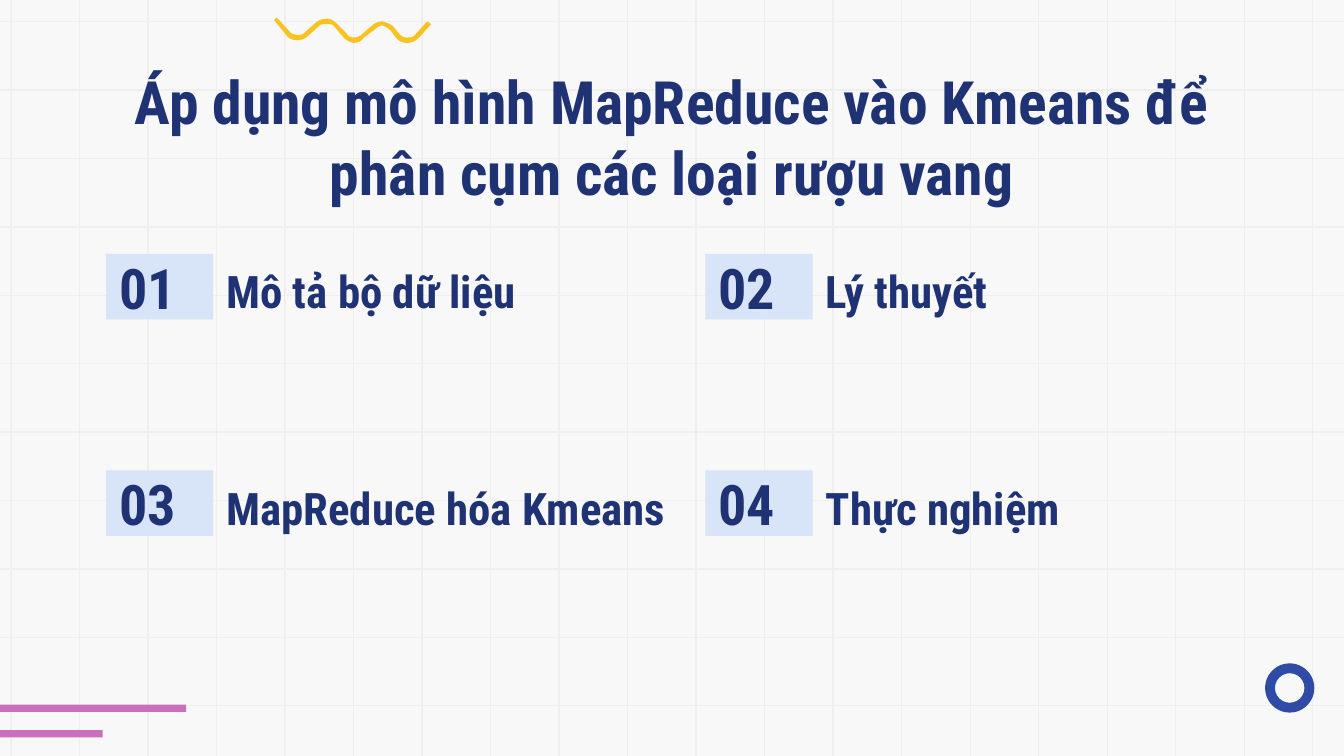
from lxml import etree
from pptx import Presentation
from pptx import util as u
from pptx.dml.color import RGBColor
from pptx.enum import shapes, text
from pptx.oxml.ns import qn

FONT = "Roboto Condensed"
NAVY, PALE_BLUE, BLUE = "1F3374", "D8E4F7", "304BA6"
PINK, YELLOW, GRID_GREY, PAPER = "CB6EBE", "F8C220", "EFEFEF", "F8F8F8"

WIDTH, HEIGHT = 25.4, 14.29
TOPICS = ["Mô tả bộ dữ liệu", "Lý thuyết", "MapReduce hóa Kmeans", "Thực nghiệm"]

# Outline in hundredths of an inch: pairs are corners, sixes are Bézier curves.
SQUIGGLE = [
    (2, 0), (0, 2), (9, 13), (11, 16, 14, 17, 18, 17), (20, 17, 23, 16, 25, 14),
    (34, 6), (35, 5, 37, 5, 39, 5), (42, 5, 44, 5, 45, 7),
    (51, 14), (53, 17, 56, 18, 59, 19), (62, 19, 65, 18, 67, 15),
    (75, 9), (77, 7, 79, 6, 81, 6), (83, 7, 85, 8, 87, 10),
    (90, 14), (92, 17, 95, 19, 99, 19), (102, 19, 105, 18, 108, 15),
    (117, 5), (114, 3), (105, 13), (103, 15, 101, 15, 99, 15), (96, 15, 95, 14, 93, 12),
    (89, 7), (87, 5, 84, 4, 81, 3), (78, 3, 75, 4, 73, 6),
    (65, 13), (64, 14, 62, 15, 59, 15), (57, 15, 55, 14, 54, 12),
    (47, 5), (45, 3, 43, 1, 40, 1), (36, 1, 33, 2, 31, 4),
    (22, 12), (21, 13, 19, 13, 18, 13), (15, 13, 13, 12, 12, 11),
]


def color(hex_code):
    return RGBColor.from_string(hex_code)


def paint(shape, hex_code):
    shape.shadow.inherit = False
    shape.fill.solid()
    shape.fill.fore_color.rgb = color(hex_code)
    shape.line.fill.background()


def add_filled(slide, preset, left, top, width, height, hex_code):
    shape = slide.shapes.add_shape(preset, u.Cm(left), u.Cm(top), u.Cm(width), u.Cm(height))
    paint(shape, hex_code)
    return shape


def add_textbox(slide, left, top, width, height):
    return slide.shapes.add_textbox(u.Cm(left), u.Cm(top), u.Cm(width), u.Cm(height))


def write(shape, wording, size, align=text.PP_ALIGN.LEFT,
          anchor=text.MSO_ANCHOR.MIDDLE, spacing=1.0):
    frame = shape.text_frame
    frame.word_wrap = True
    frame.vertical_anchor = anchor
    frame.margin_left = frame.margin_right = u.Cm(0.25)
    frame.margin_top = frame.margin_bottom = u.Cm(0.25)
    paragraph = frame.paragraphs[0]
    paragraph.text = wording
    paragraph.alignment = align
    paragraph.line_spacing = spacing
    font = paragraph.font
    font.name, font.size, font.bold = FONT, u.Pt(size), True
    font.color.rgb = color(NAVY)


def add_grid_line(slide, x1, y1, x2, y2):
    line = slide.shapes.add_connector(
        shapes.MSO_CONNECTOR.STRAIGHT, u.Cm(x1), u.Cm(y1), u.Cm(x2), u.Cm(y2))
    line.line.color.rgb = color(GRID_GREY)
    line.line.width = u.Pt(0.75)
    etree.SubElement(line._element.spPr, qn("a:effectLst"))


def add_grid(slide, left, top, width, height, rows=11, columns=20, bleed=0.45):
    """Rule the box; the outermost lines sit just inside its edges."""
    first_y, last_y = top + 0.41, top + height - 0.95
    first_x, last_x = left + 0.21, left + width - 0.59
    for row in range(rows):
        y = first_y + row * (last_y - first_y) / (rows - 1)
        add_grid_line(slide, left + width, y, left, y)
    for column in range(columns):
        x = first_x + column * (last_x - first_x) / (columns - 1)
        add_grid_line(slide, x, top - bleed, x, top + height + bleed)


def flatten(outline, steps=8):
    """Turn corners and Bézier curves into a list of points."""
    points = []
    for part in outline:
        if len(part) == 2:
            points.append(part)
            continue
        xs, ys = ((points[-1][axis],) + part[axis::2] for axis in (0, 1))
        for step in range(1, steps + 1):
            t = step / steps
            weights = ((1 - t) ** 3, 3 * t * (1 - t) ** 2, 3 * t ** 2 * (1 - t), t ** 3)
            points.append(tuple(sum(w * v for w, v in zip(weights, values))
                                for values in (xs, ys)))
    return points


def add_squiggle(slide, left, top, width):
    unit = width / max(part[0] for part in SQUIGGLE if len(part) == 2)
    points = [(u.Cm(left + x * unit), u.Cm(top + y * unit)) for x, y in flatten(SQUIGGLE)]
    builder = slide.shapes.build_freeform(*points[0])
    builder.add_line_segments(points[1:], close=True)
    paint(builder.convert_to_shape(), YELLOW)


def add_decorations(slide, left, top, width, height):
    for bar_top, bar_width in ((13.32, 3.52), (13.8, 1.94)):
        add_filled(slide, shapes.MSO_SHAPE.RECTANGLE, left, top + bar_top,
                   bar_width, 0.14, PINK)
    ring = add_filled(slide, shapes.MSO_SHAPE.DONUT, left + width - 1.49,
                      top + height - 1.75, 0.93, 0.93, BLUE)
    ring.adjustments[0] = 0.2
    add_squiggle(slide, left + 5.18, top + 0.33, 2.97)


def add_title(slide, left, top, width, height):
    write(add_textbox(slide, left, top, width, height),
          "Áp dụng mô hình MapReduce vào Kmeans để phân cụm các loại rượu vang",
          32, align=text.PP_ALIGN.CENTER, anchor=text.MSO_ANCHOR.TOP)


def add_topic(slide, left, top, width, height, number, topic):
    badge_width = 2.03
    badge = add_filled(slide, shapes.MSO_SHAPE.RECTANGLE, left, top,
                       badge_width, height, PALE_BLUE)
    write(badge, f"{number:02}", 30)
    label = add_textbox(slide, left + badge_width, top, width - badge_width, height)
    write(label, topic, 24, spacing=1.15)


def add_agenda(slide, left, top, column_pitch, row_pitch):
    for index, topic in enumerate(TOPICS):
        row, column = divmod(index, 2)
        width = 11.07 if len(topic) > 18 else 10.06
        add_topic(slide, left + column * column_pitch, top + row * row_pitch,
                  width, 1.24, index + 1, topic)


def main():
    deck = Presentation()
    deck.slide_width, deck.slide_height = u.Cm(WIDTH), u.Cm(HEIGHT)
    slide = deck.slides.add_slide(deck.slide_layouts[6])
    slide.background.fill.solid()
    slide.background.fill.fore_color.rgb = color(PAPER)

    add_grid(slide, 0, 0, WIDTH, HEIGHT)
    add_decorations(slide, 0, 0, WIDTH, HEIGHT)
    add_title(slide, 2, 0.97, 21.41, 3.28)
    add_agenda(slide, 2, 4.8, column_pitch=11.33, row_pitch=4.09)
    deck.save("out.pptx")


if __name__ == "__main__":
    main()
